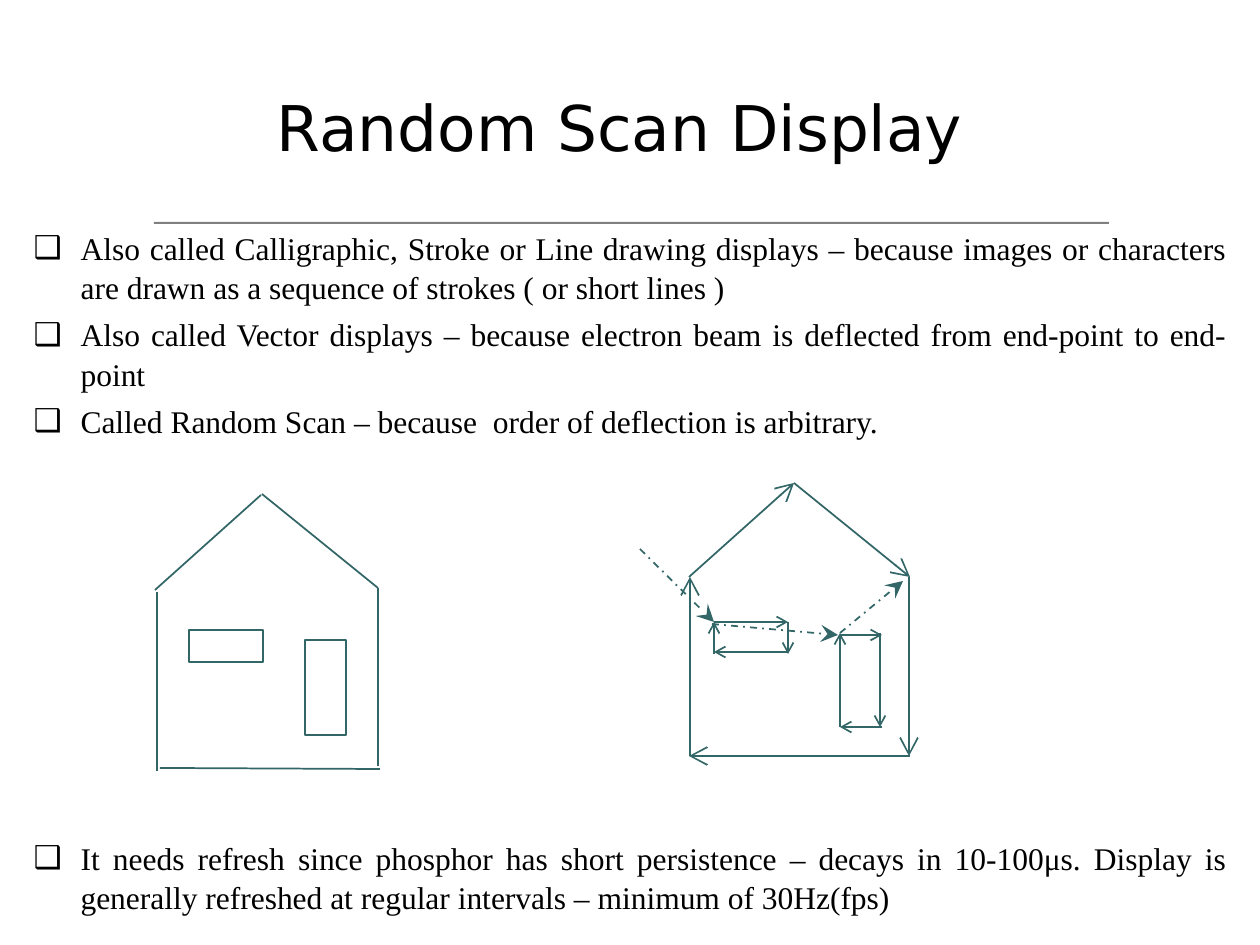
from dataclasses import dataclass
from typing import Any

from pptx import Presentation
from pptx.dml.color import RGBColor
from pptx.enum.dml import MSO_LINE
from pptx.enum.shapes import MSO_CONNECTOR, MSO_SHAPE
from pptx.enum.text import MSO_ANCHOR, MSO_AUTO_SIZE, PP_ALIGN
from pptx.oxml.ns import qn
from pptx.util import Emu, Pt
from lxml import etree

STRAIGHT = MSO_CONNECTOR.STRAIGHT
RECTANGLE = MSO_SHAPE.RECTANGLE
DASH_DOT = MSO_LINE.DASH_DOT
CENTER, JUSTIFY = PP_ALIGN.CENTER, PP_ALIGN.JUSTIFY
TOP, MIDDLE = MSO_ANCHOR.TOP, MSO_ANCHOR.MIDDLE
NO_FIT = MSO_AUTO_SIZE.NONE

EMU_PER_PX = 914400 / 126
BLACK, GREY, TEAL = "000000", "808080", "336666"
BULLET_INDENT = 47


@dataclass(frozen=True)
class Stroke:
    x1: int
    y1: int
    x2: int
    y2: int


@dataclass(frozen=True)
class Box:
    left: int
    top: int
    width: int
    height: int


@dataclass(frozen=True)
class Pen:
    arrow: str = ""
    size: str = "med"
    dashed: bool = False


@dataclass(frozen=True)
class Item:
    text: str
    space_before: float = 4.5


TITLE_BOX = Box(0, 63, 1260, 126)
BODY_BOX = Box(21, 221, 1219, 693)
RULE = Box(154, 222, 955, 2)
ITEMS = [
    Item("Also called Calligraphic, Stroke or Line drawing displays – because images "
         "or characters are drawn as a sequence of strokes ( or short lines )", 0),
    Item("Also called Vector displays – because electron beam is deflected from "
         "end-point to end-point"),
    Item("Called Random Scan – because  order of deflection is arbitrary."),
    Item("It needs refresh since phosphor has short persistence – decays in 10-100μs. "
         "Display is generally refreshed at regular intervals – minimum of 30Hz(fps)", 227.5),
]

PLAIN_OPENINGS = [Box(189, 630, 74, 32), Box(305, 640, 41, 95)]
PLAIN_HOUSE = [
    Stroke(157, 592, 157, 771),
    Stroke(160, 768, 380, 769),
    Stroke(378, 766, 378, 588),
    Stroke(261, 495, 155, 590),
    Stroke(262, 494, 378, 588),
]
SCANNED_OPENINGS = [
    Stroke(714, 622, 788, 622),
    Stroke(788, 622, 788, 654),
    Stroke(788, 652, 714, 652),
    Stroke(714, 654, 714, 622),
    Stroke(840, 635, 882, 635),
    Stroke(880, 633, 880, 727),
    Stroke(882, 727, 840, 727),
    Stroke(840, 727, 840, 633),
]
SCANNED_HOUSE = [
    Stroke(690, 756, 690, 577),
    Stroke(910, 756, 689, 756),
    Stroke(909, 577, 909, 756),
    Stroke(689, 577, 794, 483),
    Stroke(794, 483, 910, 577),
]
BEAM_JUMPS = [
    Stroke(640, 549, 714, 622),
    Stroke(712, 624, 838, 635),
    Stroke(840, 633, 903, 581),
]


def px(length: int) -> Emu:
    return Emu(round(length * EMU_PER_PX))


def color(value: str) -> RGBColor:
    return RGBColor.from_string(value)


def set_all(target: Any, values: dict[str, Any]) -> None:
    for name, value in values.items():
        setattr(target, name, value)


def place(shape: Any, box: Box) -> None:
    set_all(shape, {"left": px(box.left), "top": px(box.top),
                    "width": px(box.width), "height": px(box.height)})


def write(para: Any, text: str, font: str, size: int, layout: dict[str, Any]) -> None:
    set_all(para, layout)
    span = para.add_run()
    span.text = text
    set_all(span.font, {"name": font, "size": Pt(size), "bold": False})
    span.font.color.rgb = color(BLACK)


def add_bullet(para: Any) -> None:
    properties = para._p.get_or_add_pPr()
    properties.set("marL", str(px(BULLET_INDENT)))
    properties.set("indent", str(-px(BULLET_INDENT)))
    tint = etree.SubElement(properties, qn("a:buClr"))
    etree.SubElement(tint, qn("a:srgbClr"), val=BLACK)
    etree.SubElement(properties, qn("a:buChar"), char="❑")


def fill_title(title: Any) -> None:
    place(title, TITLE_BOX)
    set_all(title.text_frame, {"auto_size": NO_FIT, "word_wrap": True,
                               "vertical_anchor": MIDDLE})
    write(title.text_frame.paragraphs[0], "Random Scan Display ", "DejaVu Sans", 36,
          {"alignment": CENTER})


def fill_body(body: Any) -> None:
    place(body, BODY_BOX)
    frame = body.text_frame
    set_all(frame, {"auto_size": NO_FIT, "word_wrap": True, "vertical_anchor": TOP})
    for index, item in enumerate(ITEMS):
        para = frame.add_paragraph() if index else frame.paragraphs[0]
        add_bullet(para)
        write(para, item.text, "Times New Roman", 18,
              {"alignment": JUSTIFY, "line_spacing": 1.04,
               "space_before": Pt(item.space_before)})


def draw_rectangle(shapes: Any, box: Box, fill: str = "", line: str = "") -> None:
    shape = shapes.add_shape(RECTANGLE, px(box.left), px(box.top),
                             px(box.width), px(box.height))
    shape.shadow.inherit = False
    if fill:
        shape.fill.solid()
        shape.fill.fore_color.rgb = color(fill)
    else:
        shape.fill.background()
    if line:
        shape.line.color.rgb = color(line)
        shape.line.width = Pt(1)
    else:
        shape.line.fill.background()


def draw_strokes(shapes: Any, strokes: list[Stroke], pen: Pen) -> None:
    for stroke in strokes:
        connector = shapes.add_connector(STRAIGHT, px(stroke.x1), px(stroke.y1),
                                         px(stroke.x2), px(stroke.y2))
        connector.line.color.rgb = color(TEAL)
        connector.line.width = Pt(1)
        if pen.dashed:
            connector.line.dash_style = DASH_DOT
        if pen.arrow:
            etree.SubElement(connector.line._get_or_add_ln(), qn("a:tailEnd"),
                             type=pen.arrow, w=pen.size, len=pen.size)
        etree.SubElement(connector._element.spPr, qn("a:effectLst"))


def main() -> None:
    deck = Presentation()
    set_all(deck, {"slide_width": px(1260), "slide_height": px(945)})
    page = deck.slides.add_slide(deck.slide_layouts[1])
    fill_title(page.shapes.title)
    fill_body(page.placeholders[1])
    draw_rectangle(page.shapes, RULE, fill=GREY)
    house = page.shapes.add_group_shape().shapes
    for opening in PLAIN_OPENINGS:
        draw_rectangle(house, opening, line=TEAL)
    draw_strokes(house, PLAIN_HOUSE, Pen())
    draw_strokes(page.shapes, SCANNED_OPENINGS, Pen("arrow"))
    draw_strokes(page.shapes, SCANNED_HOUSE, Pen("arrow", "lg"))
    draw_strokes(page.shapes, BEAM_JUMPS, Pen("stealth", "lg", True))
    deck.save("out.pptx")


if __name__ == "__main__":
    main()
